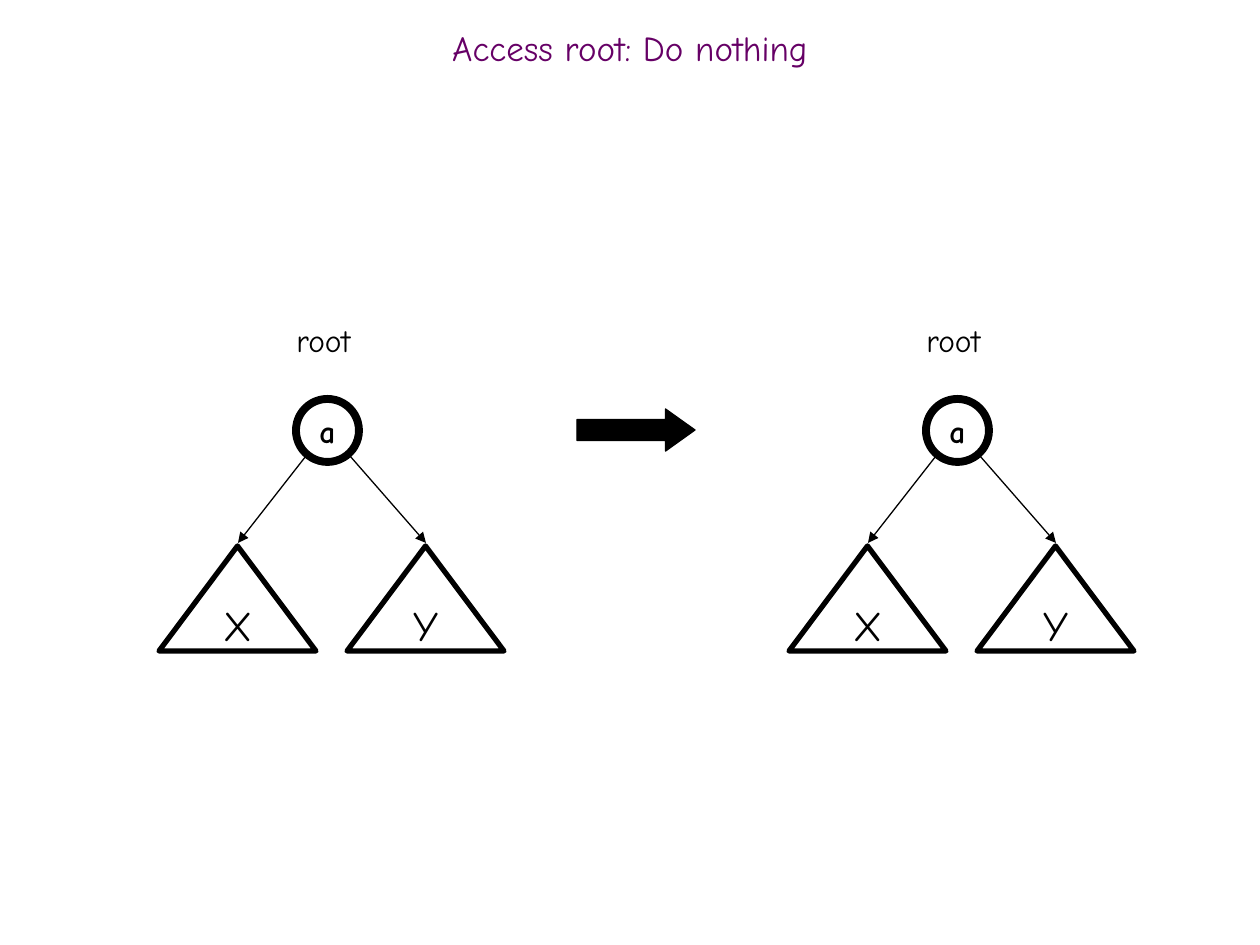
from lxml import etree
from pptx import Presentation
from pptx.dml.color import RGBColor
from pptx.enum.shapes import MSO_CONNECTOR, MSO_SHAPE
from pptx.enum.text import MSO_ANCHOR, MSO_AUTO_SIZE, PP_ALIGN
from pptx.oxml.ns import qn
from pptx.util import Pt

SCALE = 914400 // 126
FONT = "Comic Neue"
BLACK = RGBColor(0x00, 0x00, 0x00)
PURPLE = RGBColor(0x66, 0x00, 0x66)
TRIANGLE, OVAL, RIGHT_ARROW = (
    MSO_SHAPE.ISOSCELES_TRIANGLE, MSO_SHAPE.OVAL, MSO_SHAPE.RIGHT_ARROW)
STRAIGHT = MSO_CONNECTOR.STRAIGHT
MIDDLE = MSO_ANCHOR.MIDDLE
CENTER, LEFT = PP_ALIGN.CENTER, PP_ALIGN.LEFT
GROW = MSO_AUTO_SIZE.SHAPE_TO_FIT_TEXT


def px(*lengths):
    """Turn pixel lengths into EMU."""
    return [length * SCALE for length in lengths]


def write(frame, text, size, color=BLACK, bold=False, align=CENTER):
    """Put one run of text in a frame and return its paragraph."""
    paragraph = frame.paragraphs[0]
    paragraph.alignment = align
    run = paragraph.add_run()
    run.text = text
    run.font.name = FONT
    run.font.size = Pt(size)
    run.font.bold = bold
    run.font.color.rgb = color
    return paragraph


def add_title(slide, box, text):
    """Place the centred slide title in its box."""
    frame = slide.shapes.add_textbox(*px(*box)).text_frame
    frame.word_wrap = True
    frame.vertical_anchor = MIDDLE
    write(frame, text, 20, PURPLE).line_spacing = 0.7


def add_outline(slide, kind, box, line_width):
    """Add an unfilled shape with a black outline."""
    shape = slide.shapes.add_shape(kind, *px(*box))
    shape.shadow.inherit = False
    shape.fill.background()
    shape.line.color.rgb = BLACK
    shape.line.width = Pt(line_width)
    return shape


def add_node(slide, kind, box, line_width, label, size, bold=False):
    """Add an outlined tree node with its label."""
    frame = add_outline(slide, kind, box, line_width).text_frame
    frame.word_wrap = False
    frame.vertical_anchor = MIDDLE
    write(frame, label, size, bold=bold)


def add_edge(slide, start, end):
    """Draw a thin arrow from a parent to its subtree."""
    edge = slide.shapes.add_connector(STRAIGHT, *px(*start, *end))
    edge.line.color.rgb = BLACK
    edge.line.width = Pt(0.75)
    etree.SubElement(edge.line._get_or_add_ln(), qn("a:tailEnd"), type="triangle")
    etree.SubElement(edge._element.spPr, qn("a:effectLst"))


def add_tree(slide, left, top):
    """Place a root node with its two subtrees from the given corner."""
    caption = slide.shapes.add_textbox(*px(left + 125, top, 89, 50)).text_frame
    caption.word_wrap = False
    caption.auto_size = GROW
    write(caption, "root", 18, align=LEFT)

    add_node(slide, OVAL, (left + 137, top + 84, 63, 63), 4.5, "a", 18, True)
    for label, offset, edge_start in (("X", 0, 147), ("Y", 188, 191)):
        add_node(slide, TRIANGLE, (left + offset, top + 231, 157, 105),
                 3, label, 24)
        add_edge(slide, (left + edge_start, top + 141),
                 (left + offset + 79, top + 228))


def add_step_arrow(slide, box):
    """Draw the solid arrow from the tree before to the tree after."""
    arrow = add_outline(slide, RIGHT_ARROW, box, 0.75)
    arrow.fill.solid()
    arrow.fill.fore_color.rgb = BLACK
    arrow.adjustments[0] = 0.5
    arrow.adjustments[1] = 0.7


def main():
    """Build and save the slide."""
    deck = Presentation()
    deck.slide_width, deck.slide_height = px(1260, 945)
    slide = deck.slides.add_slide(deck.slide_layouts[6])
    add_title(slide, (0, 21, 1260, 63), "Access root: Do nothing")
    for left in (159, 789):
        add_tree(slide, left, 315)
    add_step_arrow(slide, (577, 409, 118, 42))
    deck.save("out.pptx")


main()
